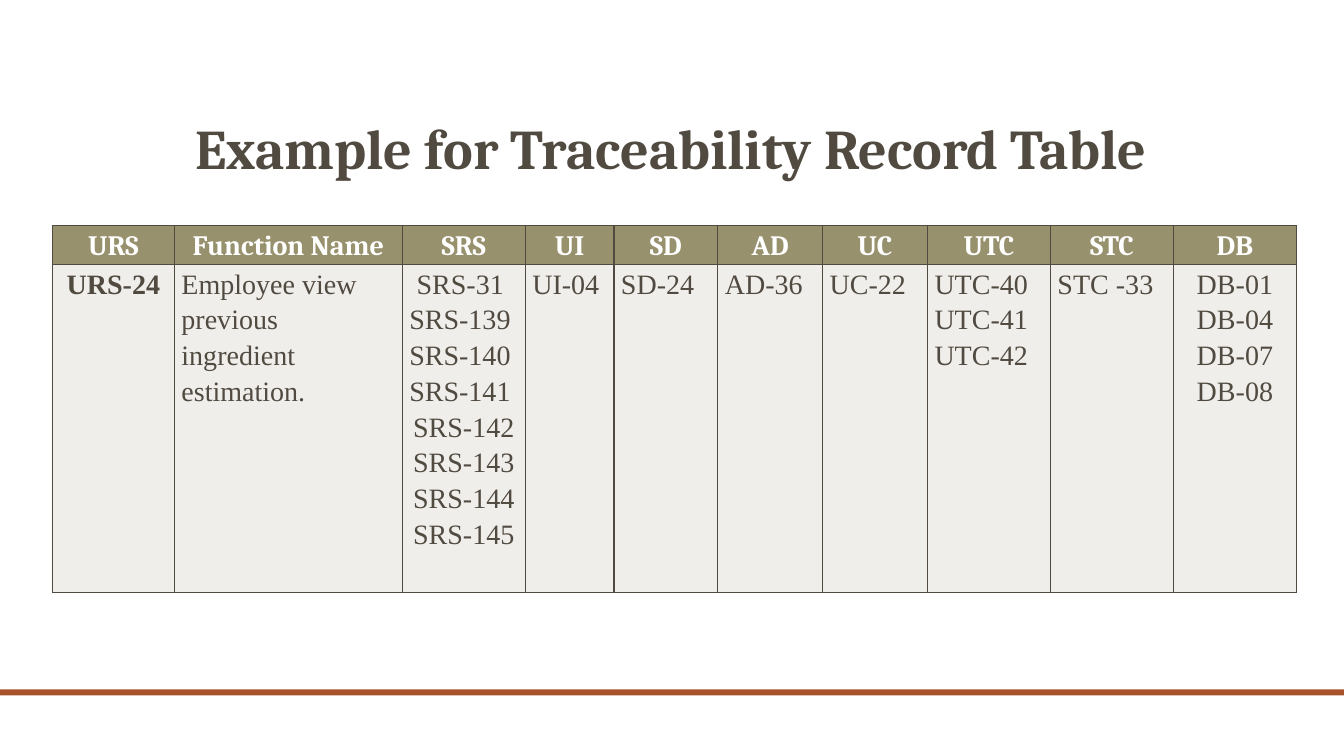
from lxml import etree
from pptx import Presentation
from pptx.dml.color import RGBColor
from pptx.enum.shapes import MSO_SHAPE
from pptx.enum.text import MSO_ANCHOR, PP_ALIGN
from pptx.oxml.ns import qn
from pptx.util import Inches, Pt

LEFT, CENTER = PP_ALIGN.LEFT, PP_ALIGN.CENTER
TOP = MSO_ANCHOR.TOP
RECTANGLE = MSO_SHAPE.RECTANGLE

COLORS = {
    "text": "514A40",
    "header": "98916E",
    "header_text": "FFFFFF",
    "body": "EFEEEB",
    "rule": "A85229",
}
HEADING_FONT, BODY_FONT = "Cambria", "Times New Roman"
SLIDE_WIDTH, SLIDE_HEIGHT = 13.33, 7.5

# Each column: heading, width, lines of the record, alignment of the lines
TRACE_COLUMNS = [
    ("URS", 1.21, ["URS-24"], CENTER),
    ("Function Name", 2.26, ["Employee view previous ingredient estimation."], LEFT),
    ("SRS", 1.22, ["SRS-31 ", "SRS-139", "SRS-140", "SRS-141", "SRS-142",
                   "SRS-143 SRS-144 SRS-145"], CENTER),
    ("UI", 0.88, ["UI-04"], LEFT),
    ("SD", 1.03, ["SD-24"], LEFT),
    ("AD", 1.04, ["AD-36"], LEFT),
    ("UC", 1.04, ["UC-22"], LEFT),
    ("UTC", 1.22, ["UTC-40", "UTC-41", "UTC-42"], LEFT),
    ("STC", 1.22, ["STC -33"], LEFT),
    ("DB", 1.22, ["DB-01", "DB-04", "DB-07", "DB-08"], CENTER),
]
LEFT_ALIGNED_SRS = {"SRS-139", "SRS-140", "SRS-141"}
ROW_HEIGHTS = (0.37, 3.25)


def rgb(name):
    return RGBColor.from_string(COLORS[name])


def style_font(font, family, size, color, bold):
    font.name = family
    font.size = Pt(size)
    font.bold = bold
    font.color.rgb = rgb(color)


def add_cell_borders(cell):
    properties = cell._tc.get_or_add_tcPr()
    for position, side in enumerate(("lnL", "lnR", "lnT", "lnB")):
        line = etree.Element(qn(f"a:{side}"), w=str(Pt(1)))
        fill = etree.SubElement(line, qn("a:solidFill"))
        etree.SubElement(fill, qn("a:srgbClr"), val=COLORS["text"])
        properties.insert(position, line)


def fill_cell(cell, lines, align, family, color, fill, bold):
    cell.margin_left = cell.margin_right = Inches(0.07)
    cell.margin_top = cell.margin_bottom = 0
    cell.fill.solid()
    cell.fill.fore_color.rgb = rgb(fill)
    add_cell_borders(cell)
    cell.text_frame.text = "\n".join(lines)
    for paragraph in cell.text_frame.paragraphs:
        paragraph.alignment = LEFT if paragraph.text in LEFT_ALIGNED_SRS else align
        paragraph.line_spacing = 1.15
        for run in paragraph.runs:
            style_font(run.font, family, 20, color, bold)


def add_footer_rule(slide, left, top, width, height):
    rule = slide.shapes.add_shape(
        RECTANGLE, Inches(left), Inches(top), Inches(width), Inches(height))
    rule.shadow.inherit = False
    rule.fill.solid()
    rule.fill.fore_color.rgb = rgb("rule")
    rule.line.fill.background()


def add_title(slide, left, top, width, height):
    title = slide.shapes.add_textbox(
        Inches(left), Inches(top), Inches(width), Inches(height))
    frame = title.text_frame
    frame.word_wrap = True
    frame.vertical_anchor = TOP
    frame.text = "Example for Traceability Record Table"
    heading = frame.paragraphs[0]
    heading.alignment = CENTER
    heading.line_spacing = 0.9
    indents = heading._p.get_or_add_pPr()
    indents.set("marL", str(Inches(0.3)))
    indents.set("indent", str(Inches(-0.25)))
    style_font(heading.runs[0].font, HEADING_FONT, 40, "text", True)


def add_trace_table(slide, left, top, width, height):
    table = slide.shapes.add_table(
        len(ROW_HEIGHTS), len(TRACE_COLUMNS),
        Inches(left), Inches(top), Inches(width), Inches(height)).table
    table.horz_banding = False
    for row, row_height in zip(table.rows, ROW_HEIGHTS):
        row.height = Inches(row_height)
    for index, (heading, column_width, lines, align) in enumerate(TRACE_COLUMNS):
        table.columns[index].width = Inches(column_width)
        fill_cell(table.cell(0, index), [heading], CENTER,
                  HEADING_FONT, "header_text", "header", True)
        fill_cell(table.cell(1, index), lines, align,
                  BODY_FONT, "text", "body", heading == "URS")


def main():
    deck = Presentation()
    deck.slide_width = Inches(SLIDE_WIDTH)
    deck.slide_height = Inches(SLIDE_HEIGHT)
    slide = deck.slides.add_slide(deck.slide_layouts[6])

    add_footer_rule(slide, 0, 6.84, SLIDE_WIDTH, 0.06)
    add_title(slide, 0.57, 1.15, 12.12, 0.86)
    add_trace_table(slide, 0.52, 2.24, 12.33, sum(ROW_HEIGHTS))

    deck.save("out.pptx")


if __name__ == "__main__":
    main()
